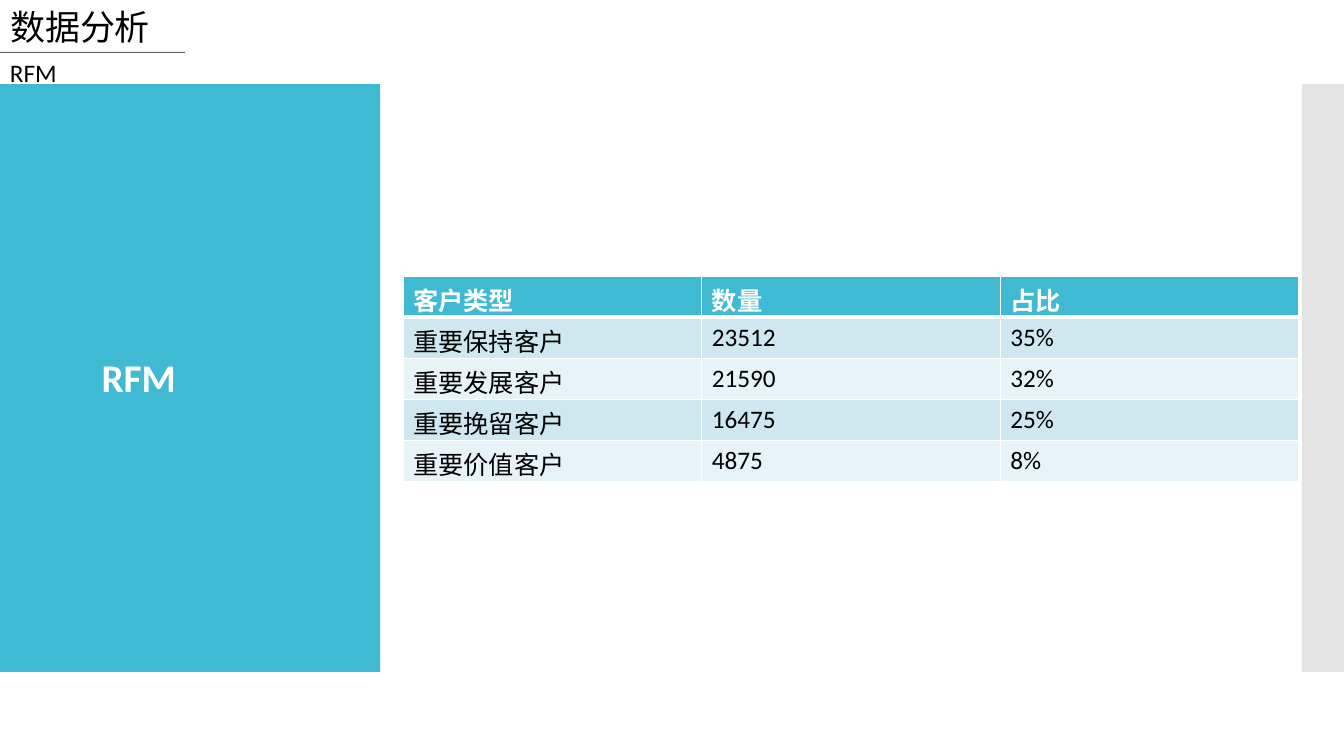
from lxml import etree
from pptx import Presentation
from pptx.dml.color import RGBColor
from pptx.enum.shapes import MSO_CONNECTOR, MSO_SHAPE
from pptx.enum.text import MSO_ANCHOR, PP_ALIGN
from pptx.oxml.ns import qn
from pptx.util import Inches, Pt

RECTANGLE = MSO_SHAPE.RECTANGLE
STRAIGHT = MSO_CONNECTOR.STRAIGHT
TOP = MSO_ANCHOR.TOP
LEFT = PP_ALIGN.LEFT

TEAL = RGBColor(0x40, 0xBA, 0xD2)
GRAY = RGBColor(0xC8, 0xC8, 0xC8)
BAND_DARK = RGBColor(0xCF, 0xE7, 0xEE)
BAND_LIGHT = RGBColor(0xE8, 0xF3, 0xF7)
BLACK = RGBColor(0, 0, 0)
WHITE = RGBColor(0xFF, 0xFF, 0xFF)

COLUMNS, ROWS = 32, 18
CUSTOMERS = [
    ("客户类型", "数量", "占比"),
    ("重要保持客户", "23512", "35%"),
    ("重要发展客户", "21590", "32%"),
    ("重要挽留客户", "16475", "25%"),
    ("重要价值客户", "4875", "8%"),
]


def write_text(frame, text, size=18, color=BLACK, bold=False, font="Calibri"):
    frame.word_wrap = True
    paragraph = frame.paragraphs[0]
    paragraph.alignment = LEFT
    run = paragraph.add_run()
    run.text = text
    run.font.name, run.font.size, run.font.bold = font, Pt(size), bold
    run.font.color.rgb = color


def set_alpha(fill, percent):
    """Make a solid fill partly transparent."""
    color = fill._xPr.find(qn("a:solidFill"))[0]
    etree.SubElement(color, qn("a:alpha")).set("val", str(percent * 1000))


def set_border(cell, side, width, color=WHITE):
    properties = cell._tc.get_or_add_tcPr()
    line = etree.SubElement(properties, qn(f"a:ln{side}"), w=str(Pt(width)))
    fill = etree.SubElement(line, qn("a:solidFill"))
    etree.SubElement(fill, qn("a:srgbClr"), val=str(color))


class SlideBuilder:
    """Places elements by columns and rows of a grid over the slide."""

    def __init__(self, presentation):
        self.slide = presentation.slides.add_slide(presentation.slide_layouts[5])
        self.column = presentation.slide_width / COLUMNS
        self.row = presentation.slide_height / ROWS

    def box(self, left, top, width, height):
        return (round(left * self.column), round(top * self.row),
                round(width * self.column), round(height * self.row))

    def title(self, text, *place, **style):
        title = self.slide.shapes.title
        title.left, title.top, title.width, title.height = self.box(*place)
        title.text_frame.vertical_anchor = TOP
        write_text(title.text_frame, text, **style)

    def text(self, text, *place, **style):
        shape = self.slide.shapes.add_textbox(*self.box(*place))
        write_text(shape.text_frame, text, **style)

    def panel(self, color, *place, opacity=100):
        shape = self.slide.shapes.add_shape(RECTANGLE, *self.box(*place))
        shape.shadow.inherit = False
        shape.fill.solid()
        shape.fill.fore_color.rgb = color
        shape.line.fill.background()
        if opacity < 100:
            set_alpha(shape.fill, opacity)

    def rule(self, left, top, width, color=BLACK, weight=0.75, opacity=60):
        x, y, length, _ = self.box(left, top, width, 0)
        line = self.slide.shapes.add_connector(STRAIGHT, x, y, x + length, y)
        line.line.width = Pt(weight)
        line.line.color.rgb = color
        set_alpha(line.line.fill, opacity)
        etree.SubElement(line._element.spPr, qn("a:effectLst"))

    def table(self, records, *place):
        left, top, width, height = self.box(*place)
        table = self.slide.shapes.add_table(
            len(records), len(records[0]), left, top, width, height).table
        for column in table.columns:
            column.width = width // len(records[0])
        for index, record in enumerate(records):
            table.rows[index].height = height // len(records)
            header = index == 0
            color = TEAL if header else BAND_DARK if index % 2 else BAND_LIGHT
            # The line between header and body is thicker
            borders = {"L": 1, "R": 1, "T": 3 if index == 1 else 1,
                       "B": 3 if header else 1}
            for position, text in enumerate(record):
                cell = table.cell(index, position)
                for side, weight in borders.items():
                    set_border(cell, side, weight)
                cell.fill.solid()
                cell.fill.fore_color.rgb = color
                write_text(cell.text_frame, text, bold=header,
                           color=WHITE if header else BLACK)


def main():
    presentation = Presentation()
    presentation.slide_width = Inches(13.33)
    presentation.slide_height = Inches(7.5)
    builder = SlideBuilder(presentation)

    # Side panels
    builder.panel(TEAL, 0, 2, 9.05, 14)
    builder.panel(GRAY, 31, 2, 1, 14, opacity=50)

    # Heading
    builder.title("数据分析", 0, 0, 4.4, 1.25, size=25)
    builder.text("RFM", 0, 1.25, 4.8, 0.96)
    builder.rule(0, 1.25, 4.4)

    # Customer table and panel label
    builder.table(CUSTOMERS, 9.6, 6.58, 21.33, 4.88)
    builder.text("RFM", 2.18, 8.3, 4.8, 1.37, size=28, color=WHITE, bold=True)

    presentation.save("out.pptx")


if __name__ == "__main__":
    main()
